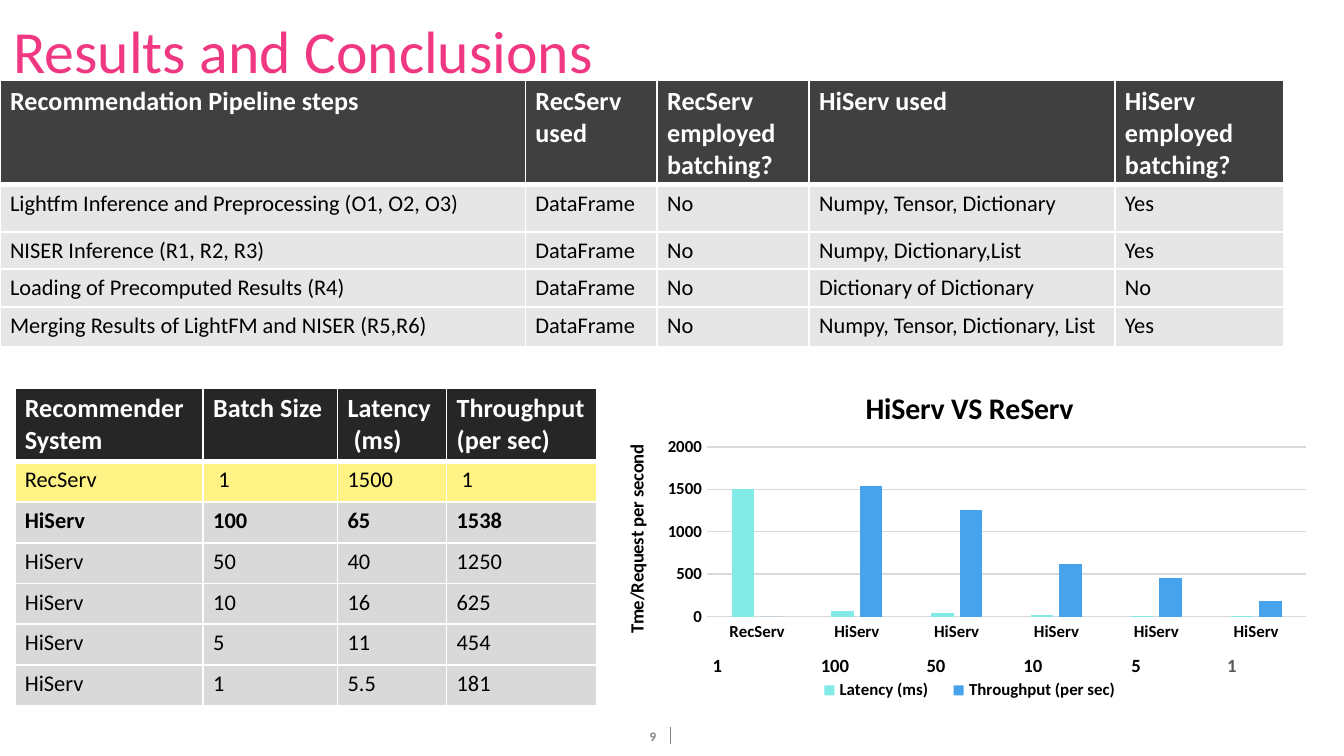
from dataclasses import dataclass
from typing import Any

from lxml.etree import SubElement
from pptx import Presentation
from pptx.chart.data import CategoryChartData as ChartData
from pptx.dml.color import RGBColor
from pptx.enum.chart import XL_CHART_TYPE as ChartType
from pptx.enum.chart import XL_LEGEND_POSITION as LegendSpot
from pptx.enum.chart import XL_TICK_MARK as Tick
from pptx.enum.shapes import MSO_CONNECTOR as Connector
from pptx.enum.text import MSO_ANCHOR as Anchor
from pptx.enum.text import PP_ALIGN as Align
from pptx.oxml import parse_xml
from pptx.oxml.ns import nsdecls, qn
from pptx.util import Cm, Pt

FONT = "Calibri"
WHITE, BLACK, GRID = "FFFFFF", "000000", "D9D9D9"
BATCH_CENTERS = [13.56, 15.78, 17.69, 19.52, 21.47, 23.28]


@dataclass
class Grid:
    left: float
    top: float
    widths: list[float]
    heights: list[float]
    rows: list[list[str]]
    fills: list[str]
    bold_rows: tuple[int, ...] = (0,)


def color(value: str) -> RGBColor:
    return RGBColor.from_string(value)


def apply_format(target: Any, values: dict[str, Any]) -> None:
    for name, value in values.items():
        setattr(target, name, value)


def style_font(font: Any, size: float, shade: str = BLACK, bold: bool = False) -> None:
    apply_format(font, {"name": FONT, "size": Pt(size), "bold": bold})
    font.color.rgb = color(shade)


def add_text(page: Any, text: str, place: tuple[float, ...], size: float, shade: str,
             bold: bool = False, align: Align = Align.LEFT, anchor: Anchor = Anchor.TOP) -> None:
    box = page.shapes.add_textbox(*map(Cm, place))
    frame = box.text_frame
    apply_format(frame, {"word_wrap": True, "vertical_anchor": anchor,
                         "margin_top": Cm(0.1), "margin_bottom": Cm(0.1)})
    para = frame.paragraphs[0]
    para.alignment = align
    span = para.add_run()
    span.text = text
    style_font(span.font, size, shade, bold)


def add_borders(cell: Any, bottom: float) -> None:
    props = cell._tc.get_or_add_tcPr()
    widths = {"lnL": 1, "lnR": 1, "lnT": 1, "lnB": bottom}
    for index, (tag, width) in enumerate(widths.items()):
        props.insert(index, parse_xml(
            f'<a:{tag} {nsdecls("a")} w="{Pt(width)}"><a:solidFill>'
            f'<a:srgbClr val="{WHITE}"/></a:solidFill></a:{tag}>'))


def add_grid(page: Any, grid: Grid) -> None:
    frame = page.shapes.add_table(len(grid.rows), len(grid.widths), Cm(grid.left), Cm(grid.top),
                                  Cm(sum(grid.widths)), Cm(sum(grid.heights)))
    table = frame.table
    for column, width in zip(table.columns, grid.widths):
        column.width = Cm(width)
    for row, height in zip(table.rows, grid.heights):
        row.height = Cm(height)
    for r, texts in enumerate(grid.rows):
        header = r == 0
        for c, text in enumerate(texts):
            cell = table.cell(r, c)
            cell.text = text
            apply_format(cell, {"margin_left": Cm(0.19), "margin_right": Cm(0.18),
                                "margin_top": Cm(0.1), "margin_bottom": Cm(0.09)})
            cell.fill.solid()
            cell.fill.fore_color.rgb = color(grid.fills[r])
            add_borders(cell, 3 if header else 1)
            for para in cell.text_frame.paragraphs:
                style_font(para.runs[0].font, 14 if header else 12,
                           WHITE if header else BLACK, r in grid.bold_rows)


def set_title(owner: Any, title: Any, text: str, size: float) -> None:
    owner.has_title = True
    title.text_frame.text = text
    style_font(title.text_frame.paragraphs[0].runs[0].font, size, bold=True)


def set_layout(part: Any, position: int, values: dict[str, Any]) -> None:
    for old in part.findall(qn("c:layout")):
        part.remove(old)
    layout = parse_xml(f'<c:layout {nsdecls("c")}><c:manualLayout/></c:layout>')
    for tag, value in values.items():
        SubElement(layout[0], qn(f"c:{tag}")).set("val", str(value))
    part.insert(position, layout)


def add_results_chart(page: Any, names: list[str], series: dict[str, tuple[list[float], str]]) -> None:
    data = ChartData()
    data.categories = names
    for name, (values, _) in series.items():
        data.add_series(name, values)
    chart = page.shapes.add_chart(ChartType.COLUMN_CLUSTERED, Cm(11.53), Cm(6.96),
                                  Cm(13.59), Cm(6.55), data).chart
    style_font(chart.font, 10)
    set_title(chart, chart.chart_title, "HiServ VS ReServ", 16)

    # Columns
    plot = chart.plots[0]
    apply_format(plot, {"gap_width": 219, "overlap": -27, "vary_by_categories": False})
    for item, (_, shade) in zip(plot.series, series.values()):
        item.format.fill.solid()
        item.format.fill.fore_color.rgb = color(shade)

    # Axes
    for axis in (chart.category_axis, chart.value_axis):
        apply_format(axis, {"major_tick_mark": Tick.NONE, "minor_tick_mark": Tick.NONE})
        style_font(axis.tick_labels.font, 9, bold=True)
    value_axis = chart.value_axis
    apply_format(value_axis, {"minimum_scale": 0, "maximum_scale": 2000, "major_unit": 500})
    set_title(value_axis, value_axis.axis_title, "Tme/Request per second", 10)
    value_axis.format.line.fill.background()
    for line in (value_axis.major_gridlines.format.line, chart.category_axis.format.line):
        line.color.rgb = color(GRID)
        line.width = Pt(0.75)

    # Legend and fixed layout
    chart.has_legend = True
    legend = chart.legend
    apply_format(legend, {"position": LegendSpot.BOTTOM, "include_in_layout": False})
    style_font(legend.font, 9, bold=True)
    edges = {"xMode": "edge", "yMode": "edge"}
    set_layout(chart._chartSpace.chart.plotArea, 0,
               {"layoutTarget": "inner", **edges, "x": 0.135, "y": 0.227, "w": 0.833, "h": 0.49})
    set_layout(legend._element, 1, {**edges, "x": 0.27, "y": 0.89, "w": 0.46, "h": 0.08})


def add_footer(page: Any) -> None:
    divider = page.shapes.add_connector(Connector.STRAIGHT, Cm(12.67), Cm(13.74), Cm(12.67), Cm(14.07))
    divider.line.color.rgb = color("808285")
    divider.line.width = Pt(0.5)
    SubElement(divider._element.spPr, qn("a:effectLst"))
    add_text(page, "9", (11.92, 13.74, 0.84, 0.36), 7, "808080", True, Align.CENTER, Anchor.MIDDLE)


PIPELINE = Grid(
    0, 1.52, [9.93, 2.49, 2.87, 5.78, 3.2], [1.97, 0.89, 0.71, 0.71, 0.75],
    [["Recommendation Pipeline steps", "RecServ used", "RecServ employed batching?",
      "HiServ used", "HiServ employed batching?"],
     ["Lightfm Inference and Preprocessing (O1, O2, O3)", "DataFrame", "No",
      "Numpy, Tensor, Dictionary", "Yes"],
     ["NISER Inference (R1, R2, R3)", "DataFrame", "No", "Numpy, Dictionary,List", "Yes"],
     ["Loading of Precomputed Results (R4)", "DataFrame", "No", "Dictionary of Dictionary", "No"],
     ["Merging Results of LightFM and NISER (R5,R6)", "DataFrame", "No",
      "Numpy, Tensor, Dictionary, List", "Yes"]],
    ["404040"] + ["E6E6E6"] * 4)

BENCHMARK = Grid(
    0.28, 7.33, [3.56, 2.54, 2.06, 2.84], [1.39] + [0.77] * 6,
    [["Recommender System", "Batch Size", "Latency\n (ms)", "Throughput\n(per sec)"],
     ["RecServ", " 1", "1500", " 1"],
     ["HiServ", "100", "65", "1538"],
     ["HiServ", "50", "40", "1250"],
     ["HiServ", "10", "16", "625"],
     ["HiServ", "5", "11", "454"],
     ["HiServ", "1", "5.5", "181"]],
    ["262626", "FFF385"] + ["D9D9D9"] * 5, (0, 2))


def to_tens(texts: tuple[str, ...]) -> list[float]:
    return [round(float(text), -1) for text in texts]


def main() -> None:
    deck = Presentation()
    apply_format(deck, {"slide_width": Cm(25.4), "slide_height": Cm(14.29)})
    page = deck.slides.add_slide(deck.slide_layouts[6])

    # Footer, title and tables
    add_footer(page)
    add_text(page, "Results and Conclusions", (0, 0.17, 22.56, 1.37), 32, "F03782")
    add_grid(page, PIPELINE)
    add_grid(page, BENCHMARK)

    # Chart of the benchmark rows
    names, batches, latency, throughput = zip(*BENCHMARK.rows[1:])
    add_results_chart(page, list(names), {"Latency (ms)": (to_tens(latency), "83EBE7"),
                                          "Throughput (per sec)": (to_tens(throughput), "47A3EB")})

    # Batch sizes under the chart categories
    shades = [BLACK] * 5 + ["595959"]
    for batch, center, shade in zip(batches, BATCH_CENTERS, shades):
        add_text(page, batch.strip(), (center - 0.65, 12.3, 1.3, 0.56), 10, shade,
                 True, Align.CENTER, Anchor.MIDDLE)

    deck.save("out.pptx")


if __name__ == "__main__":
    main()
